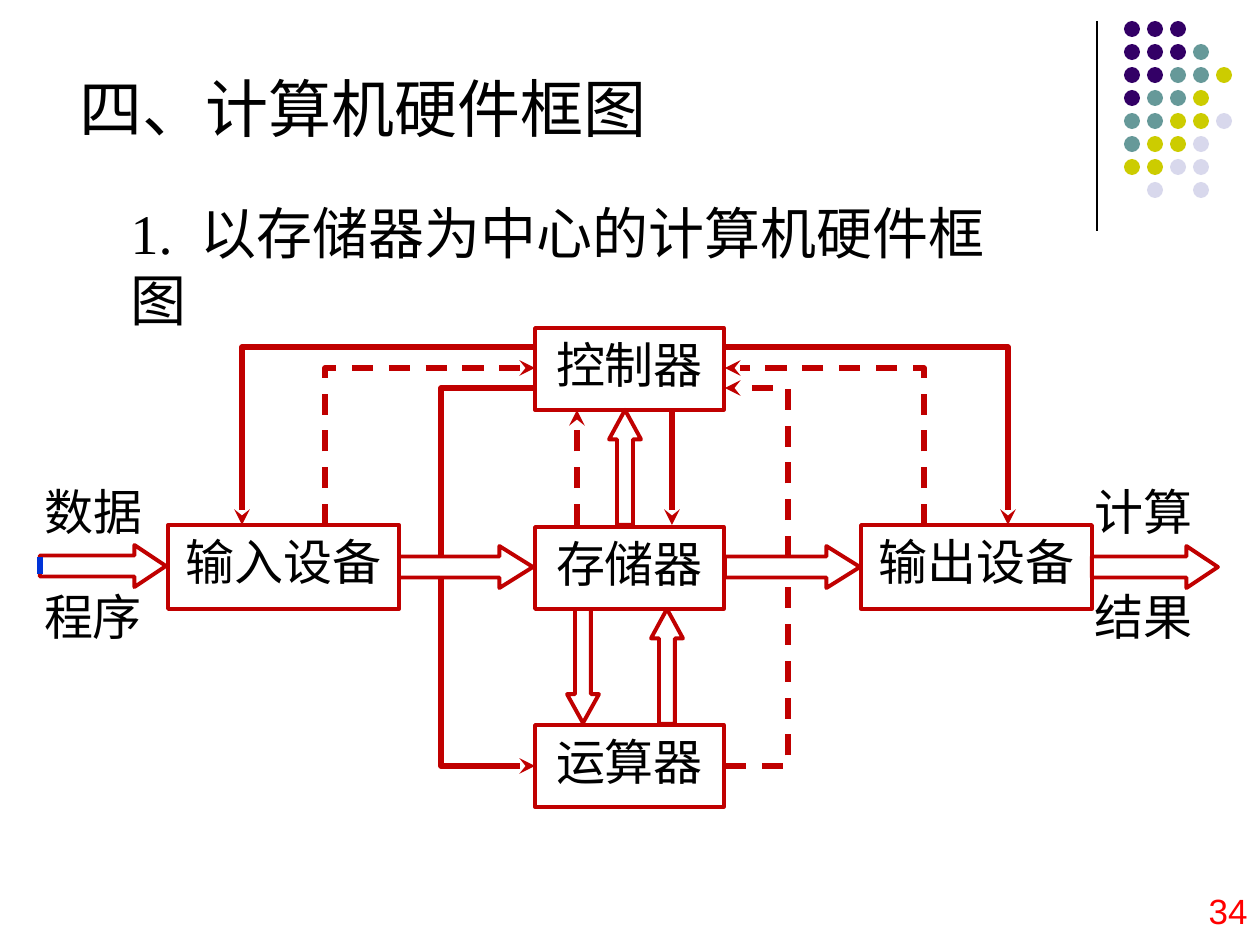
from lxml import etree
from pptx import Presentation
from pptx.dml.color import RGBColor
from pptx.enum.dml import MSO_LINE
from pptx.enum.shapes import MSO_CONNECTOR, MSO_SHAPE
from pptx.enum.text import MSO_ANCHOR, MSO_AUTO_SIZE, PP_ALIGN
from pptx.oxml.ns import qn
from pptx.util import Pt

PX = 914400 / 126
LEFT, CENTER, RIGHT = PP_ALIGN.LEFT, PP_ALIGN.CENTER, PP_ALIGN.RIGHT
TOP, MIDDLE = MSO_ANCHOR.TOP, MSO_ANCHOR.MIDDLE
RECT, OVAL = MSO_SHAPE.RECTANGLE, MSO_SHAPE.OVAL
RIGHT_ARROW, UP_ARROW, DOWN_ARROW = (
    MSO_SHAPE.RIGHT_ARROW, MSO_SHAPE.UP_ARROW, MSO_SHAPE.DOWN_ARROW)
STRAIGHT = MSO_CONNECTOR.STRAIGHT
DASH = MSO_LINE.DASH
RED, BLACK = "C00000", "000000"
rgb = RGBColor.from_string


def stroke(sp, color, width, dashed=False, arrow=False):
    sp.line.color.rgb = rgb(color)
    sp.line.width = Pt(width)
    if dashed:
        sp.line.dash_style = DASH
    if arrow:
        etree.SubElement(sp.line._get_or_add_ln(), qn("a:tailEnd"), type="stealth")
    if hasattr(sp, "shadow"):
        sp.shadow.inherit = False
    else:
        etree.SubElement(sp._element.spPr, qn("a:effectLst"))


def write(sp, texts, size, color=BLACK, align=LEFT, font="Arial", wrap=True, anchor=TOP):
    tf = sp.text_frame
    tf.auto_size = MSO_AUTO_SIZE.NONE
    tf.word_wrap = wrap
    tf.vertical_anchor = anchor
    p = tf.paragraphs[0]
    p.alignment = align
    p.space_before = Pt(0)
    for text in texts:
        r = p.add_run()
        r.text = text
        r.font.name = font
        r.font.size = Pt(size)
        r.font.color.rgb = rgb(color)
    return p


prs = Presentation()
prs.slide_width, prs.slide_height = round(1260 * PX), round(945 * PX)
s = prs.slides.add_slide(prs.slide_layouts[1])
shapes = s.shapes

title, body = s.placeholders
for sp, box in ((title, (67, 63, 888, 88)), (body, (118, 192, 935, 81))):
    sp.left, sp.top, sp.width, sp.height = [round(v * PX) for v in box]
write(title, ["四、计算机硬件框图"], 36, anchor=MIDDLE)
p = write(body, ["1.", " ", "以存储器为中心的计算机硬件框图"], 32,
          font="Times New Roman", wrap=False)
p.runs[1].font._element.set("spc", "800")
pPr = p._p.get_or_add_pPr()
pPr.set("marL", "0")
pPr.set("indent", "0")
etree.SubElement(pPr, qn("a:buNone"))

dot_colors = {"P": "330066", "T": "669999", "Y": "CCCC00", "L": "D8D8EC"}
dot_rows = ["PPP", "PPPT", "PPTTY", "PTTY", "TTYYL", "TYYL", "YYLL", "-L-L"]
for row, codes in enumerate(dot_rows):
    for col, code in enumerate(codes):
        if code in dot_colors:
            x, y = 1124 + 23 * col, 21 + 23 * row
            sp = shapes.add_shape(OVAL, *[round(v * PX) for v in (x, y, 16, 16)])
            sp.fill.solid()
            sp.fill.fore_color.rgb = rgb(dot_colors[code])
            sp.line.fill.background()
            sp.shadow.inherit = False

units = [
    ("存储器", 535, 527, 189, 82, 2),
    ("输出设备", 861, 525, 231, 84, 2),
    ("输入设备", 168, 525, 231, 84, 2.25),
    ("运算器", 535, 725, 189, 82, 2),
    ("控制器", 535, 328, 189, 82, 2),
]
for text, x, y, w, h, width in units:
    sp = shapes.add_shape(RECT, *[round(v * PX) for v in (x, y, w, h)])
    sp.fill.background()
    stroke(sp, RED, width)
    write(sp, [text], 28, align=CENTER)

block_arrows = [
    (RIGHT_ARROW, 40, 545, 126, 42, 0.75),
    (RIGHT_ARROW, 399, 546, 134, 42, 0.8),
    (RIGHT_ARROW, 725, 546, 135, 42, 0.8),
    (RIGHT_ARROW, 1092, 546, 126, 42, 0.75),
    (UP_ARROW, 609, 410, 32, 115, 0.92),
    (UP_ARROW, 651, 609, 32, 115, 0.92),
    (DOWN_ARROW, 567, 609, 32, 114, 0.9),
]
for kind, x, y, w, h, head in block_arrows:
    sp = shapes.add_shape(kind, *[round(v * PX) for v in (x, y, w, h)])
    sp.adjustments[0], sp.adjustments[1] = 0.5, head
    sp.fill.background()
    stroke(sp, RED, 2.25)

elbows = [
    ([(441, 557), (441, 388), (536, 388)], False, False),
    ([(441, 577), (441, 766), (535, 766)], False, True),
    ([(725, 766), (788, 766), (788, 577)], True, False),
    ([(788, 557), (788, 388), (725, 388)], True, True),
    ([(325, 525), (325, 368), (535, 368)], True, True),
    ([(535, 347), (242, 347), (242, 525)], False, True),
    ([(924, 525), (924, 368), (725, 368)], True, True),
    ([(725, 347), (1008, 347), (1008, 525)], False, True),
]
for points, dashed, arrow in elbows:
    builder = shapes.build_freeform(*points[0], scale=PX)
    builder.add_line_segments(points[1:], close=False)
    sp = builder.convert_to_shape()
    sp.fill.background()
    stroke(sp, RED, 3, dashed, arrow)

straights = [
    ((1097, 21, 1097, 231), BLACK, 0.75, False, False),
    ((577, 525, 577, 410), RED, 3, True, True),
    ((672, 410, 672, 525), RED, 3, False, True),
    ((40, 557, 40, 574), "0033D8", 3, False, False),
]
for ends, color, width, dashed, arrow in straights:
    cn = shapes.add_connector(STRAIGHT, *[round(v * PX) for v in ends])
    stroke(cn, color, width, dashed, arrow)

labels = [("数据", 32, 475, LEFT), ("程序", 32, 580, CENTER),
          ("计算", 1082, 475, LEFT), ("结果", 1082, 580, LEFT)]
for text, x, y, align in labels:
    sp = shapes.add_textbox(*[round(v * PX) for v in (x, y, 122, 72)])
    write(sp, [text], 28, align=align, wrap=False)

sp = shapes.add_textbox(*[round(v * PX) for v in (966, 879, 294, 63)])
write(sp, ["34"], 20, "FF0000", RIGHT, anchor=MIDDLE)

prs.save("out.pptx")
